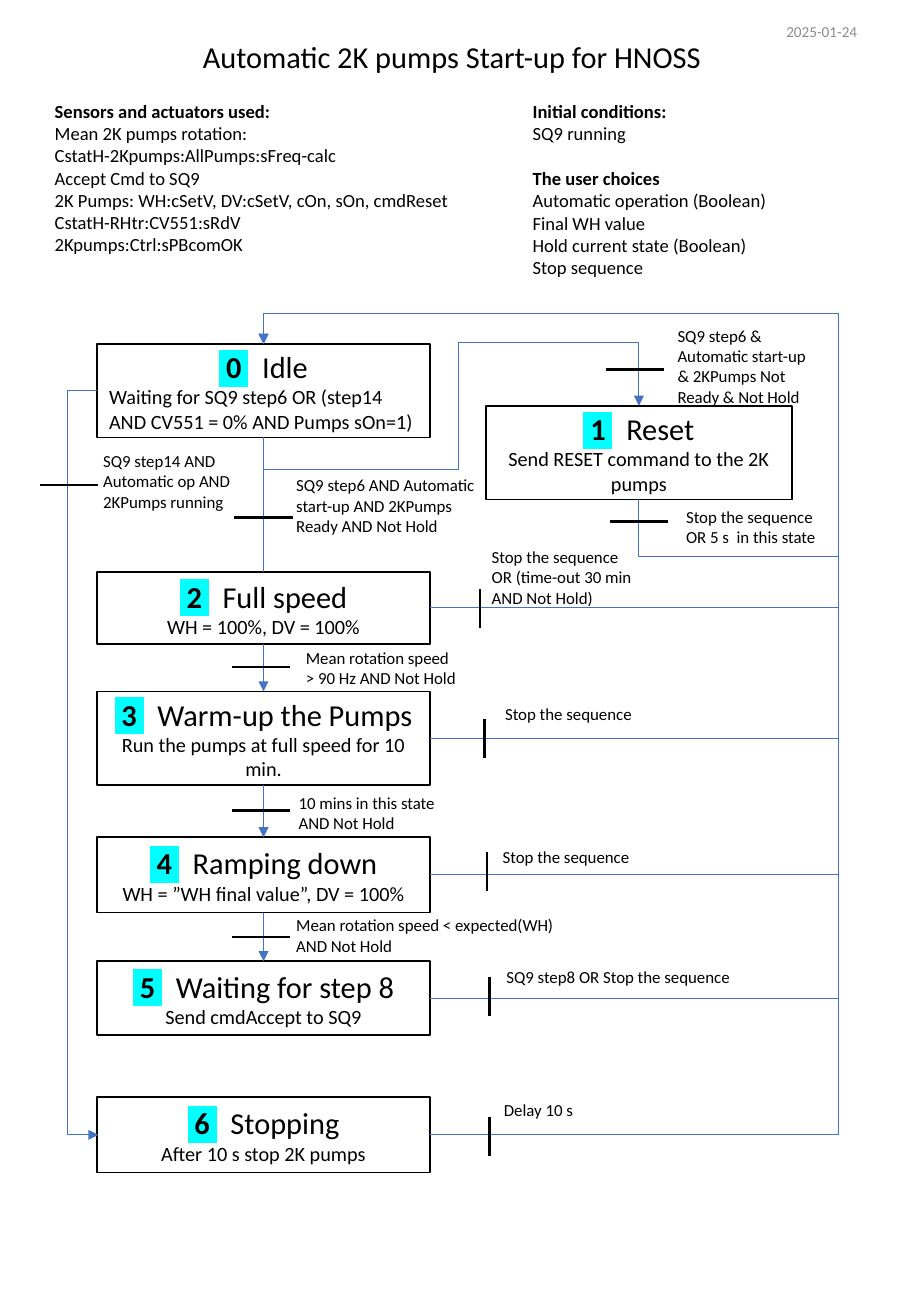
from lxml.etree import SubElement
from pptx import Presentation
from pptx.dml.color import RGBColor
from pptx.enum.shapes import MSO_CONNECTOR, MSO_SHAPE
from pptx.enum.text import MSO_ANCHOR, MSO_AUTO_SIZE, PP_ALIGN
from pptx.oxml.ns import qn
from pptx.util import Pt

PX = 9144  # 100 px to the inch
COLORS = {"black": "000000", "white": "FFFFFF", "grey": "8C8C8C",
          "blue": "4472C4", "cyan": "00FFFF"}
TOP, LEFT, BOTTOM, RIGHT = range(4)


def format_run(run, size, color="black", bold=False, highlight=None):
    run.font.size = Pt(size)
    run.font.bold = bold
    run.font.color.rgb = RGBColor.from_string(COLORS[color])
    if highlight:
        mark = SubElement(run.font._element, qn("a:highlight"))
        SubElement(mark, qn("a:srgbClr"), val=COLORS[highlight])
    run.font.name = "Calibri"


def add_route(points, color="blue", width=0.5, arrow=False, begin=None, end=None):
    """Draw one connector, an elbow if points has bends; begin and end are (shape, site)."""
    start, stop = points[0], points[-1]
    kind = MSO_CONNECTOR.ELBOW if len(points) > 2 else MSO_CONNECTOR.STRAIGHT
    connector = slide.shapes.add_connector(kind, *(v * PX for v in start + stop))
    if begin:
        connector.begin_connect(*begin)
    if end:
        connector.end_connect(*end)
    properties = connector._element.spPr
    if len(points) > 2:
        span = [b - a for a, b in zip(start, stop)]
        main = 0 if points[1][1] == start[1] else 1  # axis of the first segment
        long, cross = abs(span[main]), abs(span[1 - main])
        connector.left = round(((start[0] + stop[0]) - (long if main else abs(span[0]))) / 2 * PX) \
            if not main else round((start[0] + stop[0] - long) / 2 * PX)
        connector.top = round((start[1] + stop[1] - cross) / 2 * PX)
        connector.width, connector.height = long * PX, cross * PX
        # A quarter turn sends the vertical axis of the elbow to the left
        flip_cross = span[0] > 0 if main else span[1] < 0
        frame_data = properties.find(qn("a:xfrm"))
        frame_data.set("rot", str(5400000 * main))
        frame_data.set("flipH", str(int(span[main] < 0)))
        frame_data.set("flipV", str(int(flip_cross)))
        geometry = properties.find(qn("a:prstGeom"))
        geometry.set("prst", f"bentConnector{len(points) - 1}")
        guides = geometry.find(qn("a:avLst"))
        for number in range(1, len(points) - 2):
            axis = main if number % 2 else 1 - main
            share = (points[number][axis] - start[axis]) / span[axis]
            SubElement(guides, qn("a:gd"), name=f"adj{number}", fmla=f"val {round(share * 100000)}")
    connector.line.color.rgb = RGBColor.from_string(COLORS[color])
    connector.line.width = Pt(width)
    if arrow:
        SubElement(properties.get_or_add_ln(), qn("a:tailEnd"), type="triangle")
    SubElement(properties, qn("a:effectLst"))


presentation = Presentation()
presentation.slide_width = 750 * PX
presentation.slide_height = 1083 * PX
slide = presentation.slides.add_slide(presentation.slide_layouts[1])

# Title
title = slide.shapes.title
title.left, title.top, title.width, title.height = (v * PX for v in (154, 26, 436, 40))
title.text_frame.text = "Automatic 2K pumps Start-up for HNOSS"
title.text_frame.word_wrap = False
title.text_frame.auto_size = MSO_AUTO_SIZE.NONE
format_run(title.text_frame.paragraphs[0].runs[0], 18)

# Two-column introduction
HEADINGS = ("Sensors and actuators used:", "Initial conditions:", "The user choices")
SENSORS = [HEADINGS[0],
           "Mean 2K pumps rotation: CstatH-2Kpumps:AllPumps:sFreq-calc",
           "Accept Cmd to SQ9",
           "2K Pumps: WH:cSetV, DV:cSetV, cOn, sOn, cmdReset",
           "CstatH-RHtr:CV551:sRdV",
           "2Kpumps:Ctrl:sPBcomOK"]
CONDITIONS = [HEADINGS[1], "SQ9 running", HEADINGS[2],
              "Automatic operation (Boolean)", "Final WH value",
              "Hold current state (Boolean)", "Stop sequence"]
body = slide.placeholders[1]
body.left, body.top, body.width, body.height = (v * PX for v in (35, 77, 681, 160))
frame = body.text_frame
frame.text = "\n".join(SENSORS + CONDITIONS)
frame.auto_size = MSO_AUTO_SIZE.NONE
frame._txBody.bodyPr.set("numCol", "2")
for index, paragraph in enumerate(frame.paragraphs):
    paragraph.space_before = Pt(13.4 if paragraph.text == HEADINGS[2] else 0)
    paragraph.space_after = Pt(13.4 if index == len(SENSORS) - 1 else 0)
    layout = paragraph._p.get_or_add_pPr()
    layout.set("marL", str(0 if index < len(SENSORS) else 63 * PX))
    layout.set("indent", "0")
    SubElement(layout, qn("a:buNone"))
    format_run(paragraph.runs[0], 11, bold=paragraph.text in HEADINGS)

# Date
date = slide.shapes.add_textbox(607 * PX, 0, 139 * PX, 51 * PX).text_frame
date.word_wrap = True
date.vertical_anchor = MSO_ANCHOR.MIDDLE
date.text = "2025-01-24"
date.paragraphs[0].alignment = PP_ALIGN.CENTER
format_run(date.paragraphs[0].runs[0], 9, "grey")

# Steps: left, top, width, height, name, action
STEPS = [
    (80, 283, 274, 77, "Idle",
     "Waiting for SQ9 step6 OR (step14 AND CV551 = 0% AND Pumps sOn=1)"),
    (400, 334, 252, 77, "Reset", "Send RESET command to the 2K pumps"),
    (80, 471, 274, 59, "Full speed", "WH = 100%, DV = 100%"),
    (80, 569, 274, 77, "Warm-up the Pumps", "Run the pumps at full speed for 10 min."),
    (80, 689, 274, 62, "Ramping down", "WH = ”WH final value”, DV = 100%"),
    (80, 791, 274, 61, "Waiting for step 8", "Send cmdAccept to SQ9"),
    (80, 903, 274, 62, "Stopping", "After 10 s stop 2K pumps"),
]
boxes = []
for number, (left, top, width, height, name, action) in enumerate(STEPS):
    box = slide.shapes.add_shape(MSO_SHAPE.RECTANGLE, left * PX, top * PX,
                                 width * PX, height * PX)
    box.shadow.inherit = False
    box.fill.solid()
    box.fill.fore_color.rgb = RGBColor.from_string(COLORS["white"])
    box.line.color.rgb = RGBColor.from_string(COLORS["black"])
    box.line.width = Pt(1)
    box.text_frame.vertical_anchor = MSO_ANCHOR.MIDDLE
    heading = box.text_frame.paragraphs[0]
    heading.alignment = PP_ALIGN.CENTER
    for text, bold, highlight in ((f" {number} ", True, "cyan"), (f"  {name}", False, None)):
        run = heading.add_run()
        run.text = text
        format_run(run, 18, bold=bold, highlight=highlight)
    detail = box.text_frame.add_paragraph()
    detail.text = action
    detail.alignment = PP_ALIGN.LEFT if name == "Idle" else PP_ALIGN.CENTER
    format_run(detail.runs[0], 12)
    boxes.append(box)
idle, reset, full_speed, warm_up, ramping, waiting, stopping = boxes

# Flow down the main column
AXIS, RESET_AXIS, RAIL, RETURN_Y, STOP_RAIL = 217, 526, 690, 258, 55
SIDE_LEFT, SIDE_RIGHT = 80, 354
main_column = [idle, full_speed, warm_up, ramping, waiting]
for upper, lower in zip(main_column, main_column[1:]):
    add_route([(AXIS, (upper.top + upper.height) // PX), (AXIS, lower.top // PX)],
              arrow=upper is not idle, begin=(upper, BOTTOM), end=(lower, TOP))

# Returns to Idle over the right-hand rail
RETURN = [(RAIL, RETURN_Y), (AXIS, RETURN_Y), (AXIS, 283)]
for box in main_column[1:] + [stopping]:
    middle = round((box.top + box.height / 2) / PX)
    add_route([(SIDE_RIGHT, middle), (RAIL, middle)] + RETURN,
              arrow=box is full_speed, begin=(box, RIGHT), end=(idle, TOP))
add_route([(RESET_AXIS, 411), (RESET_AXIS, 458), (RAIL, 458)] + RETURN,
          arrow=True, begin=(reset, BOTTOM), end=(idle, TOP))

# Branches from Idle
add_route([(AXIS, 360), (AXIS, 386), (377, 386), (377, 282), (RESET_AXIS, 282),
           (RESET_AXIS, 334)], arrow=True, begin=(idle, BOTTOM), end=(reset, TOP))
add_route([(SIDE_LEFT, 321), (STOP_RAIL, 321), (STOP_RAIL, 934), (SIDE_LEFT + 1, 934)],
          arrow=True, begin=(idle, LEFT), end=(stopping, LEFT))

# Transition bars, by centre
for x, y in ((217, 426), (215, 549), (215, 667), (215, 771),
             (523, 304), (526, 429), (57, 399)):
    add_route([(x - 24, y), (x + 24, y)], "black", 1.5)
for x, y in ((395, 501), (399, 608), (401, 717), (403, 820), (403, 935)):
    add_route([(x, y - 16), (x, y + 16)], "black", 1.5)

# Transition conditions: left, top, width, height, text
CONDITION_LABELS = [
    (234, 386, 172, 61, "SQ9 step6 AND Automatic start-up AND 2KPumps Ready AND Not Hold"),
    (548, 263, 130, 77, "SQ9 step6 & Automatic start-up & 2KPumps Not Ready & Not Hold"),
    (555, 412, 139, 44, "Stop the sequence OR 5 s  in this state"),
    (242, 528, 146, 44, "Mean rotation speed > 90 Hz AND Not Hold"),
    (395, 445, 139, 61, "Stop the sequence OR (time-out 30 min AND Not Hold)"),
    (406, 574, 139, 27, "Stop the sequence"),
    (404, 692, 139, 27, "Stop the sequence"),
    (234, 748, 238, 44, "Mean rotation speed < expected(WH) AND Not Hold"),
    (236, 647, 146, 44, "10 mins in this state AND Not Hold"),
    (407, 791, 228, 27, "SQ9 step8 OR Stop the sequence"),
    (75, 366, 128, 61, "SQ9 step14 AND Automatic op AND 2KPumps running"),
    (405, 900, 139, 27, "Delay 10 s"),
]
for left, top, width, height, text in CONDITION_LABELS:
    label = slide.shapes.add_textbox(left * PX, top * PX, width * PX, height * PX).text_frame
    label.word_wrap = True
    label.text = text
    format_run(label.paragraphs[0].runs[0], 10)

presentation.save("out.pptx")
